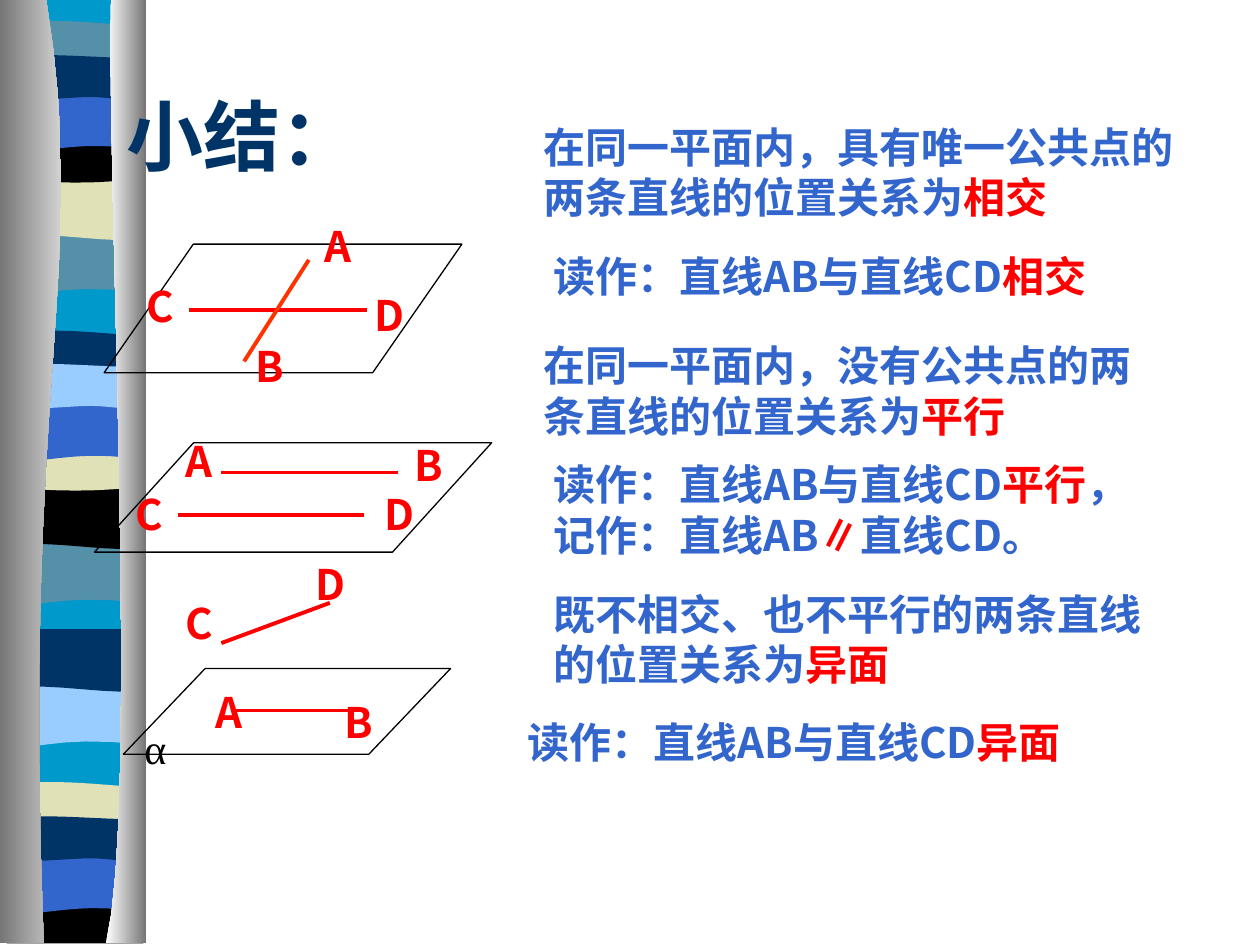
"""Build the summary slide on how two lines can lie: crossing, parallel or skew."""
from dataclasses import dataclass
from math import comb

from lxml.etree import SubElement
from pptx import Presentation
from pptx.dml.color import RGBColor as Rgb
from pptx.enum.shapes import MSO_CONNECTOR as Connector, MSO_SHAPE as Shape
from pptx.enum.text import MSO_ANCHOR as Anchor
from pptx.oxml.ns import qn
from pptx.util import Pt


@dataclass(frozen=True)
class Theme:
    navy: str = "003366"
    blue: str = "3366CC"
    sky: str = "99CCFF"
    cyan: str = "0099CC"
    teal: str = "5490A8"
    sand: str = "E1E1B7"
    black: str = "000000"
    white: str = "FFFFFF"
    silver: str = "D2D2D2"
    gray: str = "767676"
    red: str = "FF0000"
    orange: str = "FF3300"
    sans: str = "Noto Sans CJK SC"
    serif: str = "Times New Roman"
    title_size: float = 44
    body_size: float = 24
    outline: float = 0.75
    stroke: float = 2.25


THEME = Theme()
STRIP_LEFT = 4

TOP = [(0, 0), (78, 0)]
HOLLOW = [(0, 0), (47.5, 3.5), (61, 0), (78, 0)]
DROP = [TOP, [(78, 34), (24, 28), (13, 39.5), (0, 34)]]
SHEET = [TOP, [(78, 34), (65, 39.5), (24, 29.5), (0, 34)]]
TRAY = [[(0, 3.5), (4.5, 0), (16.5, 0.5), (29.5, 0.5)],
        [(29.5, 0.5), (42.5, 0.5), (67.5, 3), (78, 3.5)],
        [(78, 21), (65, 23.5), (13, 23.5), (0, 21)]]
BOWL = [HOLLOW, [(78, 23), (65, 27.5), (13, 27.5), (0, 23)]]
FOOT = [HOLLOW, [(78, 26.5), (0, 26.5)]]
BRIDGE = [TOP, [(78, 34), (66, 30), (60.5, 30), (47.5, 30)],
          [(47.5, 30), (34.5, 30), (11.5, 34), (0, 34)]]
LENS = [[(0, 3.5), (11, 0), (52.5, 3.5), (65.5, 3.5)],
        [(78, 3.5), (78, 26)],
        [(78, 26), (73, 29.5), (60.5, 26), (47.5, 26)],
        [(47.5, 26), (34.5, 26), (8, 29.5), (0, 26)]]

BANDS = [
    (DROP, 133, THEME.teal), (SHEET, 101.5, THEME.sand), (TRAY, 11.5, THEME.teal),
    (BOWL, 78, THEME.black), (BRIDGE, 53.5, THEME.blue), (LENS, 29.5, THEME.navy),
    (DROP, 310.5, THEME.teal), (SHEET, 278, THEME.black), (TRAY, 188.5, THEME.navy),
    (BOWL, 254, THEME.sand), (BRIDGE, 230.5, THEME.blue), (LENS, 206, THEME.sky),
    (DROP, 391.5, THEME.sky), (SHEET, 359.5, THEME.navy), (TRAY, 446.5, THEME.sand),
    (FOOT, 512.5, THEME.black), (BRIDGE, 489, THEME.blue), (LENS, 464.5, THEME.navy),
]

FIGURES = [
    dict(plane=(59.5, 139.5, 204.5, 73.5), skew=0.694,
         lines=[((108, 177), (209.5, 177), THEME.red),
                ((176.5, 148.5), (139.5, 206.5), THEME.orange)],
         labels={"D": (207, 162), "A": (178.5, 122.5), "B": (139, 191), "C": (76.5, 157)}),
    dict(plane=(54, 253, 227, 62.5), skew=0.907,
         lines=[((102, 294.5), (208, 294.5), THEME.red),
                ((126, 270), (227.5, 270), THEME.red)],
         labels={"A": (99, 245.5), "B": (229.5, 247.5), "C": (70.5, 275.5), "D": (212.5, 275.5)}),
    dict(plane=(70.5, 382, 187, 49), skew=0.954,
         lines=[((132, 406), (207.5, 406), THEME.red),
                ((126.5, 367.5), (188.5, 344.5), THEME.red)],
         labels={"A": (116, 389), "B": (190, 394.5), "C": (99, 338), "D": (173, 315.5)}),
]

READINGS = [
    ((309, 139.5, 342, 36), [("读作：直线AB与直线CD", THEME.blue), ("相交", THEME.red)]),
    ((309, 258.5, 361, 65), [("读作：直线AB与直线CD", THEME.blue), ("平行", THEME.red),
                             ("，记作：直线AB", THEME.blue), ("∥", THEME.red),
                             ("直线CD。", THEME.blue)]),
    ((294.5, 406, 347, 36), [("读作：直线AB与直线CD", THEME.blue), ("异面", THEME.red)]),
    ((309, 332.5, 372, 65), [("既不相交、也不平行的两条直线的位置关系为", THEME.blue),
                             ("异面", THEME.red)]),
]
DEFINITIONS = [
    ((303.5, 65.5, 387, 65), [("在同一平面内，具有唯一公共点的两条直线的位置关系为", THEME.blue),
                              ("相交", THEME.red)]),
    ((303.5, 190.5, 351, 65), [("在同一平面内，没有公共点的两条直线的位置关系为", THEME.blue),
                               ("平行", THEME.red)]),
]


def add_span(para, text, color, size=THEME.body_size, font=THEME.sans, bold=True):
    """Add one formatted run to a paragraph."""
    span = para.add_run()
    span.text = text
    span.font.size = Pt(size)
    span.font.bold = bold
    span.font.color.rgb = Rgb.from_string(color)
    span.font.name = font
    SubElement(span.font._element, qn("a:ea"), typeface=THEME.sans)


def curve(points, steps=8):
    """Sample the Bezier curve of the given control points; two points stay a line."""
    degree = len(points) - 1
    if degree == 1:
        return list(points)
    samples = []
    for t in (step / steps for step in range(steps + 1)):
        weights = [comb(degree, i) * t ** i * (1 - t) ** (degree - i) for i in range(degree + 1)]
        samples.append(tuple(sum(w * point[axis] for w, point in zip(weights, points))
                             for axis in (0, 1)))
    return samples


class Board:
    """Draws styled elements on the current slide."""

    def __init__(self, page, theme):
        self.page, self.theme = page, theme

    def outline(self, points, *colors):
        corners = [(Pt(x), Pt(y)) for x, y in points]
        builder = self.page.shapes.build_freeform(*corners[0], scale=1.0)
        builder.add_line_segments(corners[1:], close=True)
        shape = builder.convert_to_shape()
        shape.shadow.inherit = False
        shape.line.fill.background()
        if len(colors) == 1:
            shape.fill.solid()
            shape.fill.fore_color.rgb = Rgb.from_string(colors[0])
        else:
            shape.fill.gradient()
            shape.fill.gradient_angle = 0
            for stop, color, position in zip(shape.fill.gradient_stops, colors, (0, 1)):
                stop.color.rgb = Rgb.from_string(color)
                stop.position = position

    def band(self, edges, top, color):
        points = [(STRIP_LEFT + x, top + y) for edge in edges for x, y in curve(edge)]
        self.outline(points, color)

    def plane(self, place, skew):
        shape = self.page.shapes.add_shape(Shape.PARALLELOGRAM, *map(Pt, place))
        shape.adjustments[0] = skew
        shape.shadow.inherit = False
        shape.fill.background()
        shape.line.color.rgb = Rgb.from_string(self.theme.black)
        shape.line.width = Pt(self.theme.outline)

    def line(self, start, end, color):
        line = self.page.shapes.add_connector(Connector.STRAIGHT, *map(Pt, start + end))
        line.line.color.rgb = Rgb.from_string(color)
        line.line.width = Pt(self.theme.stroke)
        SubElement(line._element.spPr, qn("a:effectLst"))

    def text(self, place, spans, anchor=Anchor.TOP, **style):
        frame = self.page.shapes.add_textbox(*map(Pt, place)).text_frame
        frame.word_wrap = True
        frame.vertical_anchor = anchor
        para = frame.paragraphs[0]
        para._p.get_or_add_pPr().set("hangingPunct", "0")
        for words, color in spans:
            add_span(para, words, color, **style)

    def figure(self, plane, skew, lines, labels):
        self.plane(plane, skew)
        for start, end, color in lines:
            self.line(start, end, color)
        for letter, corner in labels.items():
            self.text((*corner, 28 if letter == "A" else 34, 36), [(letter, self.theme.red)])


def main():
    deck = Presentation()
    deck.slide_width, deck.slide_height = Pt(720), Pt(540)
    board = Board(deck.slides.add_slide(deck.slide_layouts[6]), THEME)

    board.outline([(4, 0), (82, 0), (82, 538), (4, 538)], THEME.cyan)
    for band in BANDS:
        board.band(*band)
    left_edge = curve([(26.5, 0), (51.5, 155.5), (12, 213), (25, 539)], steps=16)
    right_edge = curve([(63.5, 0), (60.5, 90), (80, 465), (60.5, 539)], steps=16)
    board.outline(left_edge + [(0, 539), (0, 0)], THEME.gray, THEME.silver)
    board.outline(right_edge + [(83.5, 539), (83.5, 0)], THEME.white, THEME.gray)

    board.text((65, 32, 357, 90), [("小结：", THEME.navy)], Anchor.MIDDLE,
               size=THEME.title_size, font=THEME.serif)
    for place, spans in READINGS:
        board.text(place, spans, Anchor.MIDDLE)
    for figure in FIGURES:
        board.figure(**figure)
    board.text((75.5, 409.5, 31, 24.5), [("α", THEME.black)], font=THEME.serif, bold=False)
    for place, spans in DEFINITIONS:
        board.text(place, spans, Anchor.MIDDLE)

    deck.save("out.pptx")


if __name__ == "__main__":
    main()
